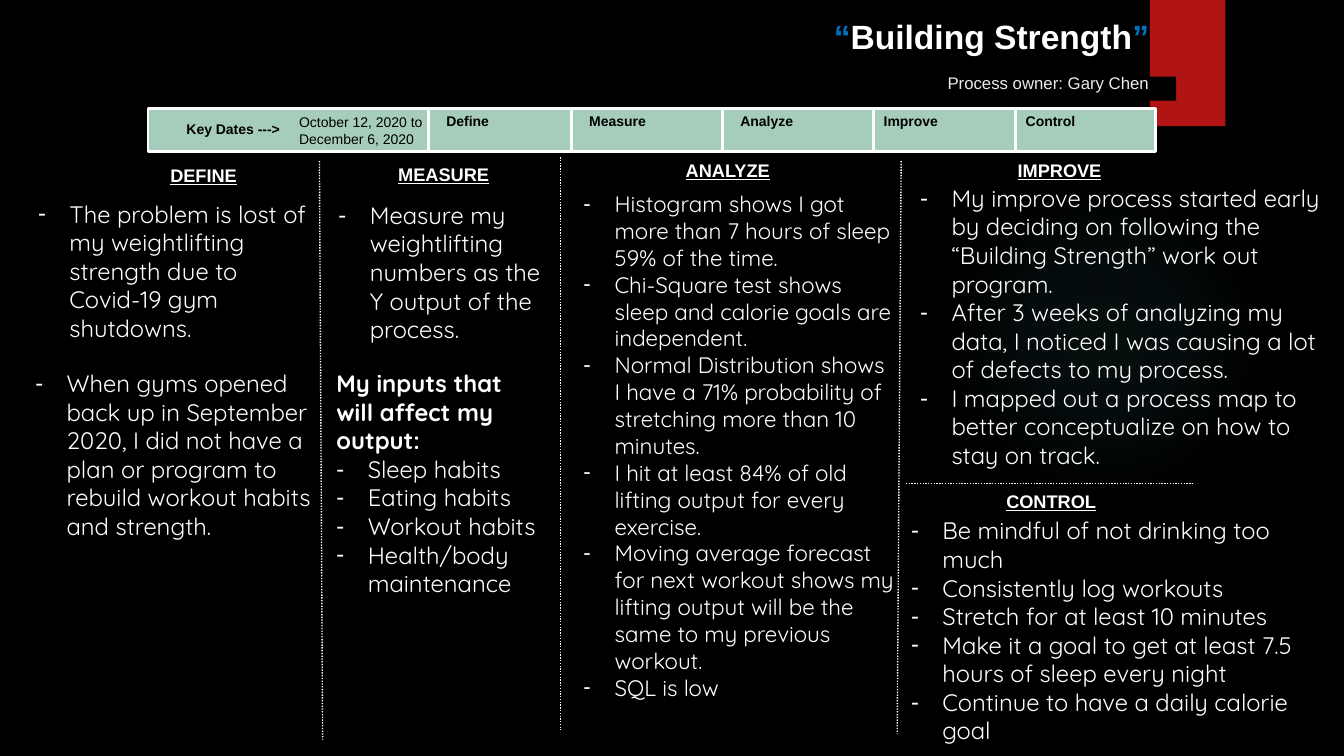
from lxml import etree
from pptx import Presentation
from pptx.dml.color import RGBColor
from pptx.enum.dml import MSO_LINE_DASH_STYLE as Dash
from pptx.enum.shapes import MSO_CONNECTOR as Connector, MSO_SHAPE as Preset
from pptx.enum.text import MSO_AUTO_SIZE as AutoSize, PP_ALIGN as Align
from pptx.oxml.ns import qn
from pptx.util import Cm, Pt

COLOURS = {"black": "000000", "white": "FFFFFF", "red": "B01513", "mint": "A6CDBC",
           "blue": "0070C0", "pale": "EBEBEB", "teal": "50B9C1"}
TITLE = [("“", "blue"), ("Building Strength", "white"), ("”", "blue")]
OWNER = "Process owner: Gary Chen"
DATES = ["October 12, 2020 to", "December 6, 2020"]
BAR = (3.73, 2.74, 25.4, 1.07)
GLOW = (23.9, 4.65, 7.82, 7.82)
GLOW_STOPS = [(0, 7), (36, 6), (69, 0)]

# name, divider x, label x
STAGES = [("Define", 10.8, 11.0), ("Measure", 14.4, 14.6), ("Analyze", 18.21, 18.41),
          ("Improve", 22.02, 22.02), ("Control", 25.6, 25.6)]
STAGE_WIDTH = 2.5
HEADINGS = [("DEFINE", 5.13, 4.01), ("MEASURE", 11.18, 3.99), ("ANALYZE", 18.34, 3.89),
            ("IMPROVE", 26.7, 3.89), ("CONTROL", 26.49, 12.24)]
HEADING_WIDTH = 3.81
DOTTED = [(14.12, 3.96, 14.12, 18.39), (22.71, 4.06, 22.61, 18.49),
          (8.05, 4.06, 8.13, 18.64), (22.83, 12.19, 30.05, 12.19)]
INPUTS_LEAD = "My inputs that will affect my output:"
LISTS = [
    ((0.71, 4.9, 7.34, 3.89), 17, [
        "The problem is lost of my weightlifting strength due to Covid-19 gym shutdowns."]),
    ((8.28, 4.93, 6.07, 3.89), 17, [
        "Measure my weightlifting numbers as the Y output of the process."]),
    ((0.64, 9.17, 7.47, 6.88), 17, [
        "When gyms opened back up in September 2020, I did not have a plan or program "
        "to rebuild workout habits and strength."]),
    ((8.23, 9.17, 5.66, 7.65), 17, [
        INPUTS_LEAD, "Sleep habits", "Eating habits", "Workout habits",
        "Health/body maintenance"]),
    ((22.94, 4.5, 10.72, 7.52), 17, [
        "My improve process started early by deciding on following the "
        "“Building Strength” work out program.",
        "After 3 weeks of analyzing my data, I noticed I was causing a lot of defects "
        "to my process.",
        "I mapped out a process map to better conceptualize on how to stay on track."]),
    ((14.45, 4.67, 8.36, 14.71), 16, [
        "Histogram shows I got more than 7 hours of sleep 59% of the time.",
        "Chi-Square test shows sleep and calorie goals are independent.",
        "Normal Distribution shows I have a 71% probability of stretching more than "
        "10 minutes.",
        "I hit at least 84% of old lifting output for every exercise.",
        "Moving average forecast for next workout shows my lifting output will be the "
        "same to my previous workout.",
        "SQL is low"]),
    ((22.71, 12.88, 11.05, 7.52), 17, [
        "Be mindful of not drinking too much", "Consistently log workouts",
        "Stretch for at least 10 minutes",
        "Make it a goal to get at least 7.5 hours of sleep every night",
        "Continue to have a daily calorie goal"]),
]


def colour(name):
    return RGBColor.from_string(COLOURS[name])


def add_block(page, place, fill, line=None, preset=Preset.RECTANGLE):
    block = page.shapes.add_shape(preset, *map(Cm, place))
    block.shadow.inherit = False
    block.fill.solid()
    block.fill.fore_color.rgb = colour(fill)
    if line:
        block.line.color.rgb = colour(line)
        block.line.width = Pt(2)
    else:
        block.line.fill.background()
    return block


def add_glow(page):
    glow = add_block(page, GLOW, "teal", preset=Preset.OVAL)
    solid = glow._element.spPr.find(qn("a:solidFill"))
    gradient = etree.Element(qn("a:gradFill"), rotWithShape="1")
    stops = etree.SubElement(gradient, qn("a:gsLst"))
    for position, opacity in GLOW_STOPS + [(100, 0)]:
        stop = etree.SubElement(stops, qn("a:gs"), pos=str(position * 1000))
        tint = etree.SubElement(stop, qn("a:srgbClr"), val=COLOURS["teal"])
        etree.SubElement(tint, qn("a:alpha"), val=str(opacity * 1000))
    radial = etree.SubElement(gradient, qn("a:path"), path="circle")
    etree.SubElement(radial, qn("a:fillToRect"), l="50000", t="50000", r="50000", b="50000")
    solid.getparent().replace(solid, gradient)


def add_line(page, ends, width, dash=None):
    line = page.shapes.add_connector(Connector.STRAIGHT, *map(Cm, ends))
    line.line.color.rgb = colour("white")
    line.line.width = Pt(width)
    if dash:
        line.line.dash_style = dash
    etree.SubElement(line._element.spPr, qn("a:effectLst"))


def add_dash(para):
    properties = para._p.get_or_add_pPr()
    properties.set("marL", str(Cm(0.79)))
    properties.set("indent", str(Cm(-0.79)))
    etree.SubElement(properties, qn("a:buFont"), typeface="Arial")
    etree.SubElement(properties, qn("a:buChar"), char="-")


def add_text(page, place, paras, size, font="Arial", ink="white", bold=False,
             underline=False, align=Align.LEFT, dashes=False, lead=None):
    box = page.shapes.add_textbox(*map(Cm, place))
    frame = box.text_frame
    frame.word_wrap = True
    frame.auto_size = AutoSize.SHAPE_TO_FIT_TEXT
    for index, content in enumerate(paras):
        para = frame.add_paragraph() if index else frame.paragraphs[0]
        para.alignment = align
        if dashes and content != lead:
            add_dash(para)
        for text, tone in [(content, ink)] if isinstance(content, str) else content:
            span = para.add_run()
            span.text = text
            span.font.name = font
            span.font.size = Pt(size)
            span.font.bold = bold or content == lead
            span.font.underline = underline
            span.font.color.rgb = colour(tone)


def main():
    """Build the process improvement summary slide."""
    deck = Presentation()
    deck.slide_width, deck.slide_height = Cm(33.87), Cm(19.05)
    page = deck.slides.add_slide(deck.slide_layouts[6])
    page.background.fill.solid()
    page.background.fill.fore_color.rgb = colour("black")

    add_glow(page)
    add_block(page, (28.98, 0, 1.9, 3.18), "red")
    add_block(page, BAR, "mint", "white")
    add_block(page, (13.49, 1.93, 16.15, 0.61), "black")
    add_text(page, (9.68, 0.28, 19.53, 1.27), [TITLE], 24, bold=True, align=Align.RIGHT)
    add_text(page, (15.21, 1.7, 14, 0.76), [OWNER], 12, ink="pale", align=Align.RIGHT)

    add_text(page, (4.45, 2.92, 3.1, 0.69), ["Key Dates --->"], 10, ink="black", bold=True)
    add_text(page, (7.29, 2.74, 3.8, 1.12), DATES, 10, ink="black")
    bar_top, bar_bottom = BAR[1], BAR[1] + BAR[3]
    for name, divider, left in STAGES:
        add_line(page, (divider, bar_top, divider, bar_bottom), 2)
        add_text(page, (left, 2.72, STAGE_WIDTH, 0.69), [name], 10, ink="black", bold=True)

    for ends in DOTTED:
        add_line(page, ends, 1, Dash.ROUND_DOT)
    for name, centre, top in HEADINGS:
        add_text(page, (centre - HEADING_WIDTH / 2, top, HEADING_WIDTH, 0.79), [name], 13,
                 bold=True, underline=True, align=Align.CENTER)
    for place, size, items in LISTS:
        add_text(page, place, items, size, font="Quicksand", dashes=True, lead=INPUTS_LEAD)
    deck.save("out.pptx")


if __name__ == "__main__":
    main()
